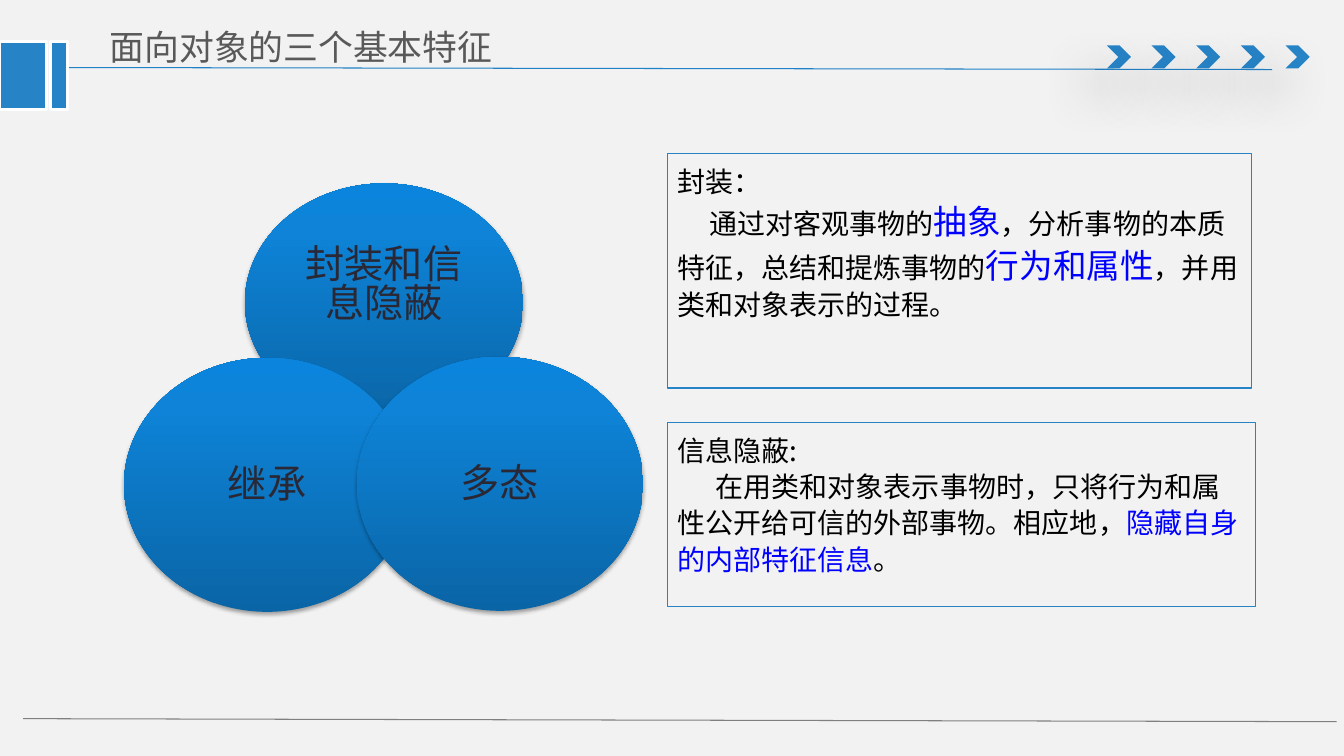
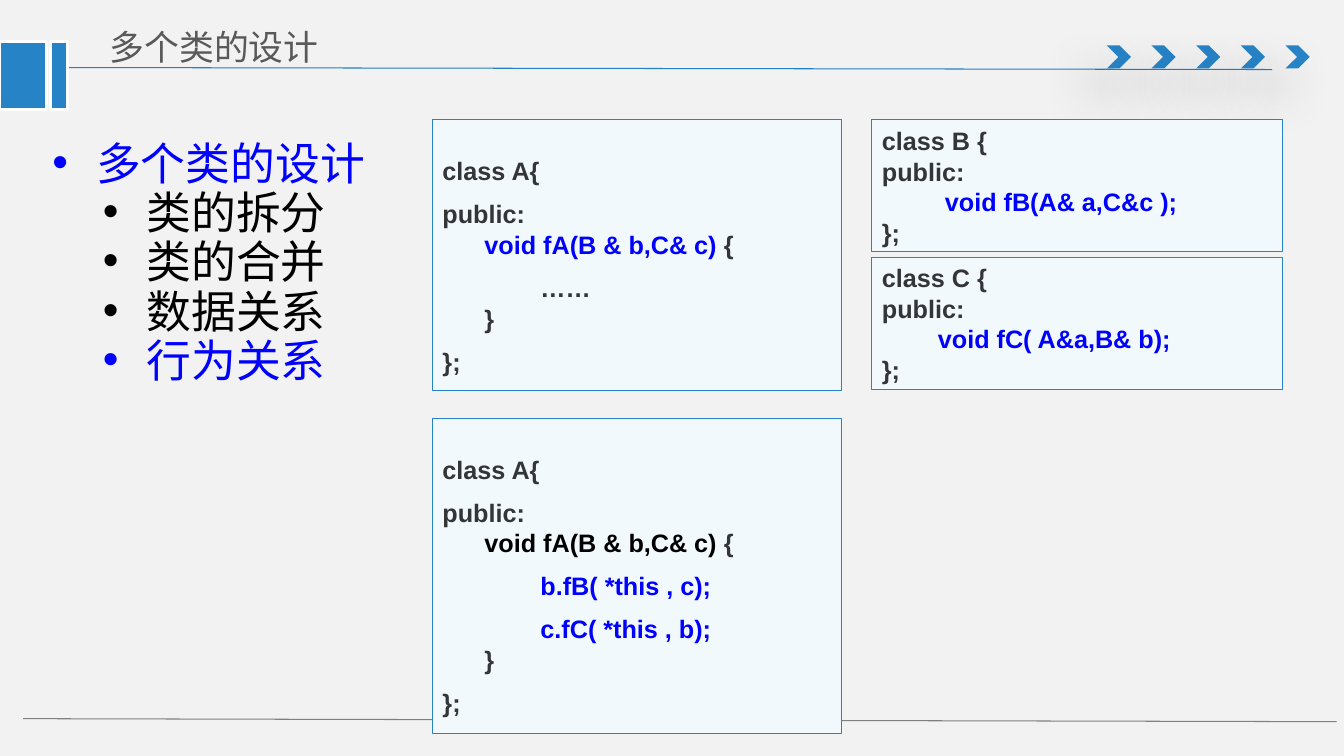
from copy import deepcopy
from dataclasses import dataclass
from typing import Optional

from lxml import etree
from pptx import Presentation
from pptx.dml.color import RGBColor
from pptx.enum.shapes import MSO_CONNECTOR, MSO_SHAPE
from pptx.enum.text import MSO_ANCHOR, PP_ALIGN
from pptx.oxml.ns import qn
from pptx.util import Emu, Inches, Pt

RECTANGLE, OVAL, CHEVRON = MSO_SHAPE.RECTANGLE, MSO_SHAPE.OVAL, MSO_SHAPE.CHEVRON
STRAIGHT = MSO_CONNECTOR.STRAIGHT
TOP, MIDDLE, BOTTOM = MSO_ANCHOR.TOP, MSO_ANCHOR.MIDDLE, MSO_ANCHOR.BOTTOM
LEFT, CENTER = PP_ALIGN.LEFT, PP_ALIGN.CENTER

# The slide is a grid of square cells.
COLUMNS, ROWS = 40, 22.5
CELL = Inches(13.333) / COLUMNS


@dataclass(frozen=True)
class Theme:
    background: str = "F2F2F2"
    primary: str = "2683C6"
    header_rule: str = "2181C6"
    footer_rule: str = "808080"
    white: str = "FFFFFF"
    title: str = "595959"
    text: str = "000000"
    highlight: str = "0000FF"
    code: str = "343537"
    code_fill: str = "F2F9FD"
    circle_text: str = "292834"
    circle_stops: tuple = ((0, "0A65A6"), (0.8, "0E83D7"), (1, "0A84DC"))
    chinese_font: str = "Noto Sans CJK SC"
    code_font: str = "Arial"
    title_size: float = 24.9
    circle_size: float = 28
    bullet_size: float = 32
    prose_size: float = 20
    emphasis_size: float = 24
    code_size: float = 18
    thin: float = 0.75
    thick: float = 2


THEME = Theme()


@dataclass(frozen=True)
class Area:
    """A rectangle in grid cells."""
    left: float
    top: float
    width: float
    height: float

    def emu(self) -> list[Emu]:
        return [cells(n) for n in (self.left, self.top, self.width, self.height)]


@dataclass(frozen=True)
class TextStyle:
    font: str
    size: float
    color: str
    bold: bool = False
    spacing: object = 1.0
    align: int = LEFT


@dataclass(frozen=True)
class Shadow:
    opacity: float
    blur: float
    distance: float
    angle: float


@dataclass(frozen=True)
class Run:
    text: str
    color: Optional[str] = None
    size: Optional[float] = None


@dataclass(frozen=True)
class Line:
    runs: tuple[Run, ...]
    before: float = 0
    indent: float = 0
    margin: float = 0
    bullet: bool = False
    color: Optional[str] = None


@dataclass(frozen=True)
class Circle:
    area: Area
    label: str
    bottom_inset: float = 0.15


@dataclass(frozen=True)
class Panel:
    area: Area
    lines: tuple[Line, ...]
    top_inset: float = 0.15


TITLE = TextStyle(THEME.chinese_font, THEME.title_size, THEME.title)
CIRCLE = TextStyle(THEME.chinese_font, THEME.circle_size, THEME.circle_text,
                   spacing=0.82, align=CENTER)
PROSE = TextStyle(THEME.chinese_font, THEME.prose_size, THEME.text, spacing=1.08)
BULLET = TextStyle(THEME.chinese_font, THEME.bullet_size, THEME.text, spacing=0.75)
CODE = TextStyle(THEME.code_font, THEME.code_size, THEME.code, True, Pt(21.8))

CHEVRON_SHADOW = Shadow(38, 36, 24, 130)
CIRCLE_SHADOW = Shadow(35, 3.1, 1.8, 90)


def cells(count: float) -> Emu:
    return Emu(round(count * CELL))


def rgb(color: str) -> RGBColor:
    return RGBColor.from_string(color)


def plain(text: str, **options) -> Line:
    return Line((Run(text),), **options)


def code(text: str, before: float = 0) -> Line:
    return plain(text, before=before)


def marked(lead: str, text: str, tail: str = "", color: str = THEME.highlight,
           before: float = 0) -> Line:
    """A code line whose middle part has its own colour."""
    return Line((Run(lead), Run(text, color), Run(tail)), before)


def add_box(slide, area: Area, kind=RECTANGLE, fill: Optional[str] = None,
            line: Optional[str] = None, weight: float = THEME.thin,
            shadow: Optional[Shadow] = None):
    shape = slide.shapes.add_shape(kind, *area.emu())
    shape.shadow.inherit = False
    if fill:
        shape.fill.solid()
        shape.fill.fore_color.rgb = rgb(fill)
    else:
        shape.fill.background()
    if line:
        shape.line.color.rgb = rgb(line)
        shape.line.width = Pt(weight)
    else:
        shape.line.fill.background()
    if shadow:
        effects = shape.element.spPr.find(qn("a:effectLst"))
        outer = etree.SubElement(effects, qn("a:outerShdw"), blurRad=str(Pt(shadow.blur)),
                                 dist=str(Pt(shadow.distance)),
                                 dir=str(shadow.angle * 60000), rotWithShape="0")
        color = etree.SubElement(outer, qn("a:srgbClr"), val="000000")
        etree.SubElement(color, qn("a:alpha"), val=str(shadow.opacity * 1000))
    return shape


def add_rule(slide, start: tuple[float, float], end: tuple[float, float], color: str) -> None:
    rule = slide.shapes.add_connector(STRAIGHT, *(cells(n) for n in start + end))
    rule.line.color.rgb = rgb(color)
    rule.line.width = Pt(THEME.thin)
    etree.SubElement(rule.element.spPr, qn("a:effectLst"))


def fill_gradient(shape) -> None:
    fill = shape.fill
    fill.gradient()
    fill.gradient_angle = 90
    stops = shape.element.spPr.find(".//" + qn("a:gsLst"))
    stops.append(deepcopy(stops[0]))
    for stop, (position, color) in zip(fill.gradient_stops, THEME.circle_stops):
        stop.position = position
        stop.color.rgb = rgb(color)


def format_paragraph(paragraph, line: Line, style: TextStyle) -> None:
    color = line.color or style.color
    paragraph.alignment = style.align
    paragraph.line_spacing = style.spacing
    paragraph.space_before = Pt(line.before)
    properties = paragraph._p.get_or_add_pPr()
    properties.set("marL", str(cells(line.margin)))
    properties.set("indent", str(cells(line.indent)))
    if line.bullet:
        bullet_color = etree.SubElement(properties, qn("a:buClr"))
        etree.SubElement(bullet_color, qn("a:srgbClr"), val=color)
        etree.SubElement(properties, qn("a:buFont"), typeface="Arial")
        etree.SubElement(properties, qn("a:buChar"), char="•")
    font = paragraph.font
    font.size, font.bold = Pt(style.size), style.bold
    font.color.rgb = rgb(color)
    font.name = style.font
    etree.SubElement(properties.find(qn("a:defRPr")), qn("a:ea"), typeface=style.font)


def write(shape, lines: tuple[Line, ...], style: TextStyle, anchor=TOP,
          top_inset: float = 0.15, bottom_inset: float = 0.15) -> None:
    frame = shape.text_frame
    frame.word_wrap = True
    frame.vertical_anchor = anchor
    frame.margin_left = frame.margin_right = cells(0.3)
    frame.margin_top, frame.margin_bottom = cells(top_inset), cells(bottom_inset)
    for index, line in enumerate(lines):
        paragraph = frame.add_paragraph() if index else frame.paragraphs[0]
        format_paragraph(paragraph, line, style)
        for part in line.runs:
            if not part.text:
                continue
            run = paragraph.add_run()
            run.text = part.text
            if part.color:
                run.font.color.rgb = rgb(part.color)
            if part.size:
                run.font.size = Pt(part.size)


def add_slide(presentation, title: str):
    """Add a slide with the shared header, footer and title."""
    slide = presentation.slides.add_slide(presentation.slide_layouts[6])
    slide.background.fill.solid()
    slide.background.fill.fore_color.rgb = rgb(THEME.background)
    add_rule(slide, (1.6, 2.01), (37.86, 2.07), THEME.header_rule)
    for index in range(5):
        add_box(slide, Area(32.94 + index * 1.33, 1.35, 0.72, 0.69), CHEVRON,
                THEME.primary, shadow=CHEVRON_SHADOW)
    add_rule(slide, (0.69, 21.39), (39.78, 21.48), THEME.footer_rule)
    for left, width in ((0, 1.38), (1.5, 0.51)):
        add_box(slide, Area(left, 1.23, width, 2.04), RECTANGLE, THEME.primary,
                THEME.white, THEME.thick)
    title_box = slide.shapes.add_textbox(*Area(2.97, 0.5, 13.89, 1.65).emu())
    write(title_box, (plain(title),), TITLE, BOTTOM)
    return slide


def add_features_slide(presentation) -> None:
    slide = add_slide(presentation, "面向对象的三个基本特征")
    for circle in (
        Circle(Area(7.29, 5.46, 8.28, 7.08), "封装和信息隐蔽", 1.26),
        Circle(Area(3.69, 10.65, 8.52, 7.56), "继承"),
        Circle(Area(10.62, 10.62, 8.52, 7.56), "多态"),
    ):
        shape = add_box(slide, circle.area, OVAL, shadow=CIRCLE_SHADOW)
        fill_gradient(shape)
        write(shape, (plain(circle.label),), CIRCLE, MIDDLE, 0.3, circle.bottom_inset)

    blue, large = THEME.highlight, THEME.emphasis_size
    for panel in (
        Panel(Area(19.86, 4.56, 17.4, 6.99), (
            plain("封装："),
            Line((Run("通过对客观事物的"), Run("抽象", blue, large),
                  Run("，分析事物的本质特征，总结和提炼事物的"),
                  Run("行为和属性", blue, large),
                  Run("，并用类和对象表示的过程。")), indent=0.95)), 0.25),
        Panel(Area(19.86, 12.57, 17.52, 5.49), (
            plain("信息隐蔽:"),
            Line((Run("在用类和对象表示事物时，只将行为和属性公开给可信的外部事物。相应地，"),
                  Run("隐藏自身的内部特征信息", blue), Run("。")), indent=1.14)), 0.25),
    ):
        shape = add_box(slide, panel.area, line=THEME.primary)
        write(shape, panel.lines, PROSE, top_inset=panel.top_inset)


def add_classes_slide(presentation) -> None:
    slide = add_slide(presentation, "多个类的设计")
    blue = THEME.highlight
    topics = (("多个类的设计", blue), ("类的拆分", None), ("类的合并", None),
              ("数据关系", None), ("行为关系", blue))
    bullets = tuple(
        plain(text, before=6.4 if index else 0, indent=-1.3,
              margin=2.8 if index else 1.3, bullet=True, color=color)
        for index, (text, color) in enumerate(topics))
    write(slide.shapes.add_textbox(*Area(1.26, 4.26, 11.28, 11.07).emu()), bullets, BULLET)

    gap = THEME.code_size / 2
    opening = (code("class A{"), code("public:", gap))
    closing = (code("      }"), code("};", gap))
    signature = "void fA(B & b,C& c) "
    for panel in (
        Panel(Area(12.87, 3.57, 12.18, 8.04), (
            *opening, marked("      ", signature, "{"),
            code("              ……", gap), *closing), 1.05),
        Panel(Area(25.95, 3.57, 12.21, 3.93), (
            code("class B {"), code("public:"),
            marked("         ", "void fB(A& a,C&c );"), code("};"))),
        Panel(Area(25.95, 7.65, 12.21, 3.93), (
            code("class C {"), code("public:"),
            marked("        ", "void fC( A&a,B& b);"), code("};"))),
        Panel(Area(12.87, 12.45, 12.18, 9.39), (
            *opening, marked("      ", signature, "{", THEME.text),
            marked("              ", "b.fB( *this , c);", before=gap),
            marked("              ", "c.fC( *this , b);", before=gap), *closing), 1.05),
    ):
        shape = add_box(slide, panel.area, RECTANGLE, THEME.code_fill, THEME.primary)
        write(shape, panel.lines, CODE, top_inset=panel.top_inset)


def main() -> None:
    presentation = Presentation()
    presentation.slide_width, presentation.slide_height = cells(COLUMNS), cells(ROWS)
    add_features_slide(presentation)
    add_classes_slide(presentation)
    presentation.save("out.pptx")


if __name__ == "__main__":
    main()
